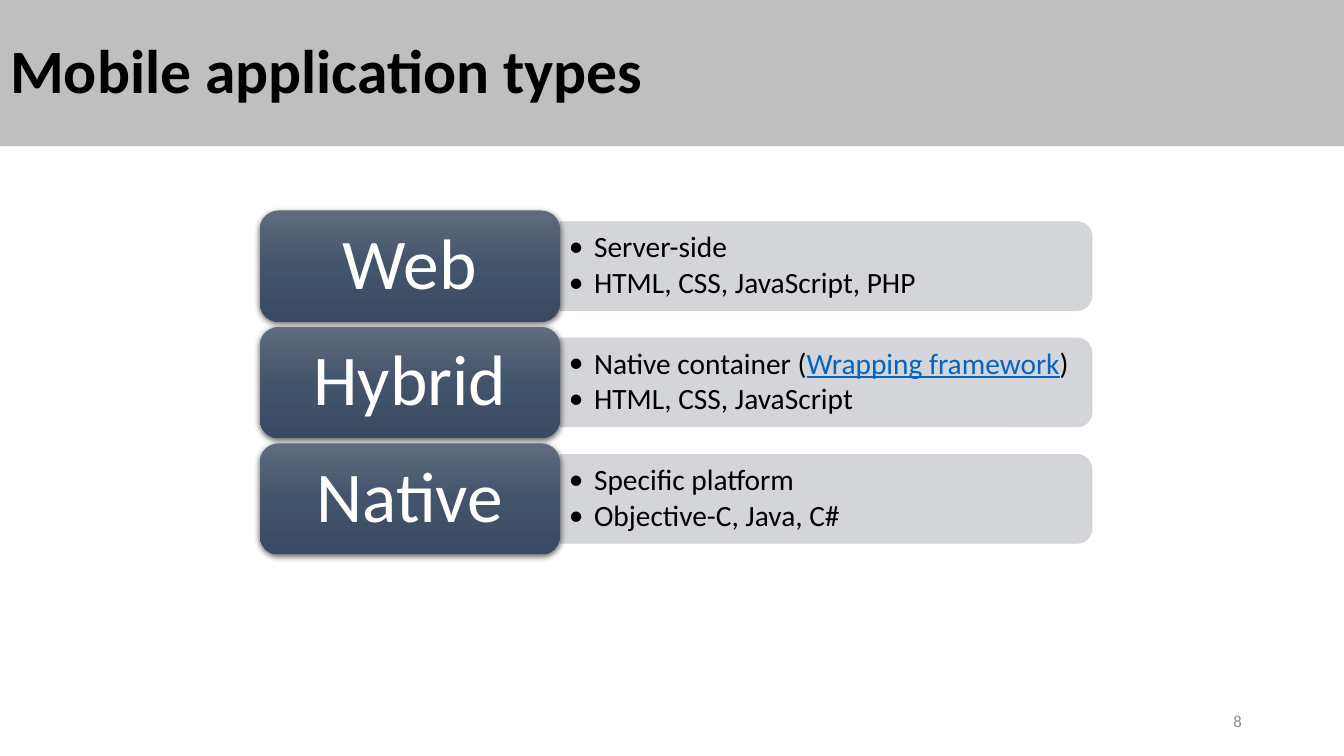
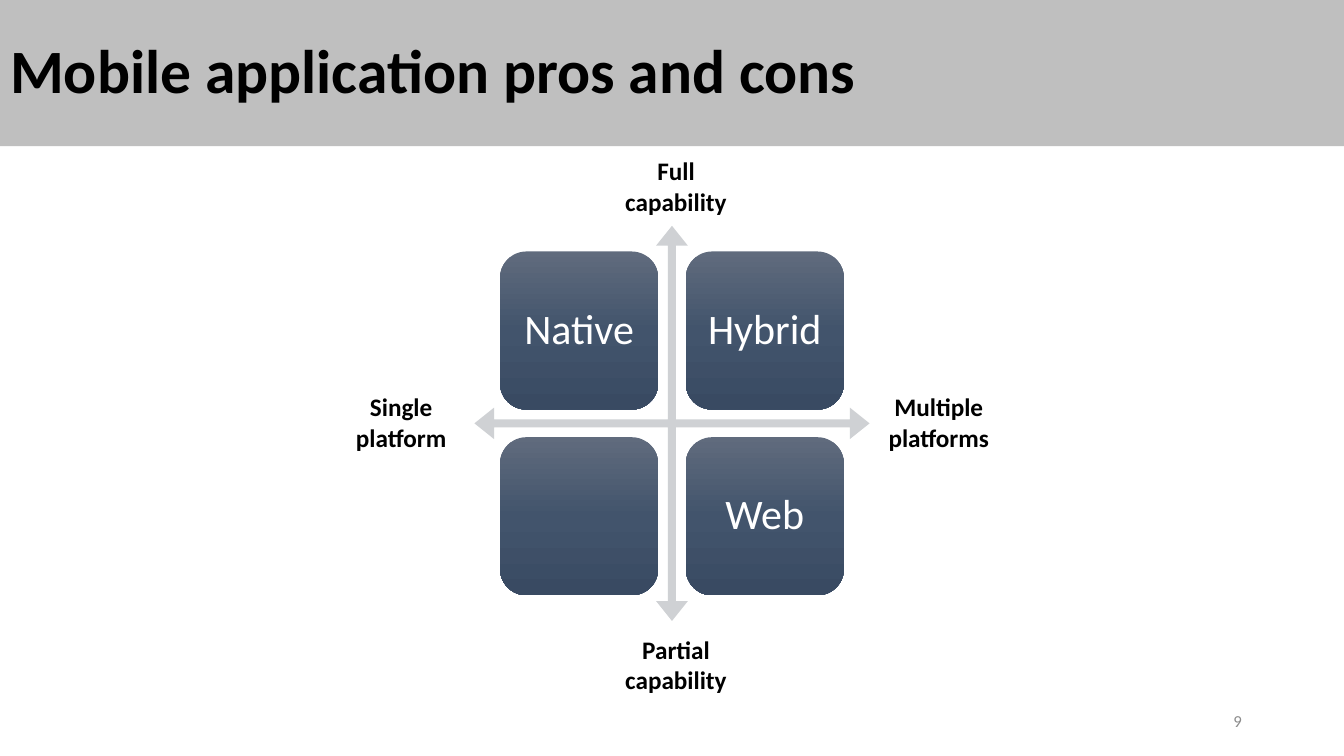
from lxml import etree
from pptx import Presentation
from pptx import util as u
from pptx.dml.color import RGBColor
from pptx.enum import shapes, text
from pptx.oxml.ns import qn

W, H = 13.333, 7.5
FONT = "Calibri"
C = {
    "band": "BFBFBF", "ink": "000000", "number": "8C8C8C", "white": "FFFFFF",
    "pale": "CFD1D4", "link": "0563C1",
    "top": "606B7D", "middle": "42546C", "bottom": "394A62",
}
SHAPE = shapes.MSO_SHAPE
ALIGN = text.PP_ALIGN


# Lengths: percentages of the slide's width and height, in inches
def px(share):
    return share * W / 100


def py(share):
    return share * H / 100


def inches(*values):
    return [u.Inches(v) for v in values]


def rgb(name):
    return RGBColor.from_string(C[name])


# Text
def add_run(p, words, size, color="ink", bold=False, underline=False):
    r = p.add_run()
    r.text = words
    f = r.font
    f.name, f.size, f.bold, f.underline = FONT, u.Pt(size), bold, underline
    f.color.rgb = rgb(color)


def set_frame(tf, inset=(0.1, 0.05), wrap=True):
    tf.word_wrap = wrap
    tf.auto_size = text.MSO_AUTO_SIZE.NONE
    tf.vertical_anchor = text.MSO_ANCHOR.MIDDLE
    tf.margin_left = tf.margin_right = u.Inches(inset[0])
    tf.margin_top = tf.margin_bottom = u.Inches(inset[1])


def add_text(s, box, lines, size, align, color="ink", bold=False, wrap=True):
    tf = s.shapes.add_textbox(*inches(*box)).text_frame
    set_frame(tf, wrap=wrap)
    for i, line in enumerate(lines):
        p = tf.add_paragraph() if i else tf.paragraphs[0]
        p.alignment = align
        add_run(p, line, size, color, bold)


def add_bullets(s, box, items, size=21):
    tf = s.shapes.add_textbox(*inches(*box)).text_frame
    set_frame(tf, inset=(0.09, 0.04))
    for i, runs in enumerate(items):
        p = tf.add_paragraph() if i else tf.paragraphs[0]
        p.line_spacing = 0.9
        p.space_after = u.Pt(3)
        pPr = p._p.get_or_add_pPr()
        pPr.set("marL", str(u.Inches(0.25)))
        pPr.set("indent", str(-u.Inches(0.25)))
        etree.SubElement(pPr, qn("a:buFont"), typeface=FONT)
        etree.SubElement(pPr, qn("a:buChar"), char="•")
        for words, color in runs:
            add_run(p, words, size, color, underline=color == "link")


# Shapes
def add_plain(s, kind, box, color):
    sp = s.shapes.add_shape(kind, *inches(*box))
    sp.shadow.inherit = False
    sp.fill.solid()
    sp.fill.fore_color.rgb = rgb(color)
    sp.line.fill.background()
    return sp


def set_gradient(sp):
    sp.fill.gradient()
    sp.fill.gradient_angle = 270
    stops = next(sp._element.iter(qn("a:gsLst")))
    for old in list(stops):
        stops.remove(old)
    for pos, name in ((0, "top"), (50, "middle"), (100, "bottom")):
        gs = etree.SubElement(stops, qn("a:gs"), pos=str(pos * 1000))
        etree.SubElement(gs, qn("a:srgbClr"), val=C[name])


def set_shadow(sp):
    effects = next(sp._element.iter(qn("a:effectLst")))
    shadow = etree.SubElement(
        effects, qn("a:outerShdw"), blurRad=str(u.Pt(4.5)), dist=str(u.Pt(1.5)),
        dir="5400000", algn="ctr", rotWithShape="0")
    color = etree.SubElement(shadow, qn("a:srgbClr"), val=C["ink"])
    etree.SubElement(color, qn("a:alpha"), val="63000")


def add_tile(s, box, words, size, shadow=False):
    sp = add_plain(s, SHAPE.ROUNDED_RECTANGLE, box, "middle")
    set_gradient(sp)
    if shadow:
        set_shadow(sp)
    if words:
        set_frame(sp.text_frame)
        p = sp.text_frame.paragraphs[0]
        p.alignment = ALIGN.CENTER
        p.line_spacing = 0.9
        add_run(p, words, size, "white")


def add_panel(s, x, y, w, h):
    """Panel rounded on its right side: a top-rounded shape turned by 90°."""
    box = (x + (w - h) / 2, y + (h - w) / 2, h, w)
    sp = add_plain(s, SHAPE.ROUND_2_SAME_RECTANGLE, box, "pale")
    sp.rotation = 90
    sp.line.color.rgb = rgb("pale")
    sp.line.width = u.Pt(0.5)
    for color in list(sp._element.spPr.iter(qn("a:srgbClr"))):
        etree.SubElement(color, qn("a:alpha"), val="90000")


# Title band and slide number
def add_slide(prs, title, number):
    s = prs.slides.add_slide(prs.slide_layouts[5])
    sp = s.shapes.title
    sp.left, sp.top, sp.width, sp.height = inches(0, 0, W, py(19.33))
    sp.fill.solid()
    sp.fill.fore_color.rgb = rgb("band")
    set_frame(sp.text_frame)
    p = sp.text_frame.paragraphs[0]
    p.alignment = ALIGN.LEFT
    p.line_spacing = 0.9
    add_run(p, title, 44, bold=True)
    add_text(s, (px(70.65), py(92.67), px(22.5), py(5.33)), [str(number)], 12,
             ALIGN.RIGHT, "number")
    return s


# Rows: a name tile and a panel of bullets
def add_type_rows(s, rows):
    left, top, pitch = px(19.35), py(27.85), py(15.4)
    tile_w, tile_h = px(22.3), py(14.7)
    panel_w, panel_h = px(39.6), py(11.75)
    for i, (name, items) in enumerate(rows):
        y = top + i * pitch
        panel = (left + tile_w, y + (tile_h - panel_h) / 2, panel_w, panel_h)
        add_panel(s, *panel)
        add_bullets(s, panel, items)
        add_tile(s, (left, y, tile_w, tile_h), name, 51, shadow=True)


# Matrix: four tiles around crossed arrows
def add_matrix(s, names):
    side = py(52.27)
    left, top = (W - side) / 2, py(29.87)
    cross = add_plain(s, SHAPE.QUAD_ARROW, (left, top, side, side), "pale")
    for i, value in enumerate((0.02, 0.04, 0.05)):
        cross.adjustments[i] = value
    tile, margin = 0.4 * side, 0.065 * side
    pitch = side - 2 * margin - tile
    for i, name in enumerate(names):
        row, col = divmod(i, 2)
        box = (left + margin + col * pitch, top + margin + row * pitch, tile, tile)
        add_tile(s, box, name, 30)


def add_axis_labels(s, labels):
    w, h = px(9.4), py(9.47)
    for x, y, lines in labels:
        add_text(s, (px(x) - w / 2, py(y) - h / 2, w, h), lines, 18,
                 ALIGN.CENTER, bold=True, wrap=False)


def main():
    prs = Presentation()
    prs.slide_width, prs.slide_height = inches(W, H)

    s = add_slide(prs, "Mobile application types", 8)
    add_type_rows(s, [
        ("Web", [[("Server-side", "ink")],
                 [("HTML, CSS, JavaScript, PHP", "ink")]]),
        ("Hybrid", [[("Native container (", "ink"),
                     ("Wrapping framework", "link"), (")", "ink")],
                    [("HTML, CSS, JavaScript", "ink")]]),
        ("Native", [[("Specific platform", "ink")],
                    [("Objective-C, Java, C#", "ink")]]),
    ])

    s = add_slide(prs, "Mobile application pros and cons", 9)
    add_matrix(s, ["Native", "Hybrid", "", "Web"])
    add_axis_labels(s, [
        (29.85, 55.8, ["Single", "platform"]),
        (69.85, 55.8, ["Multiple", "platforms"]),
        (50.3, 24.6, ["Full", "capability"]),
        (50.3, 87.9, ["Partial", "capability"]),
    ])

    prs.save("out.pptx")


if __name__ == "__main__":
    main()
